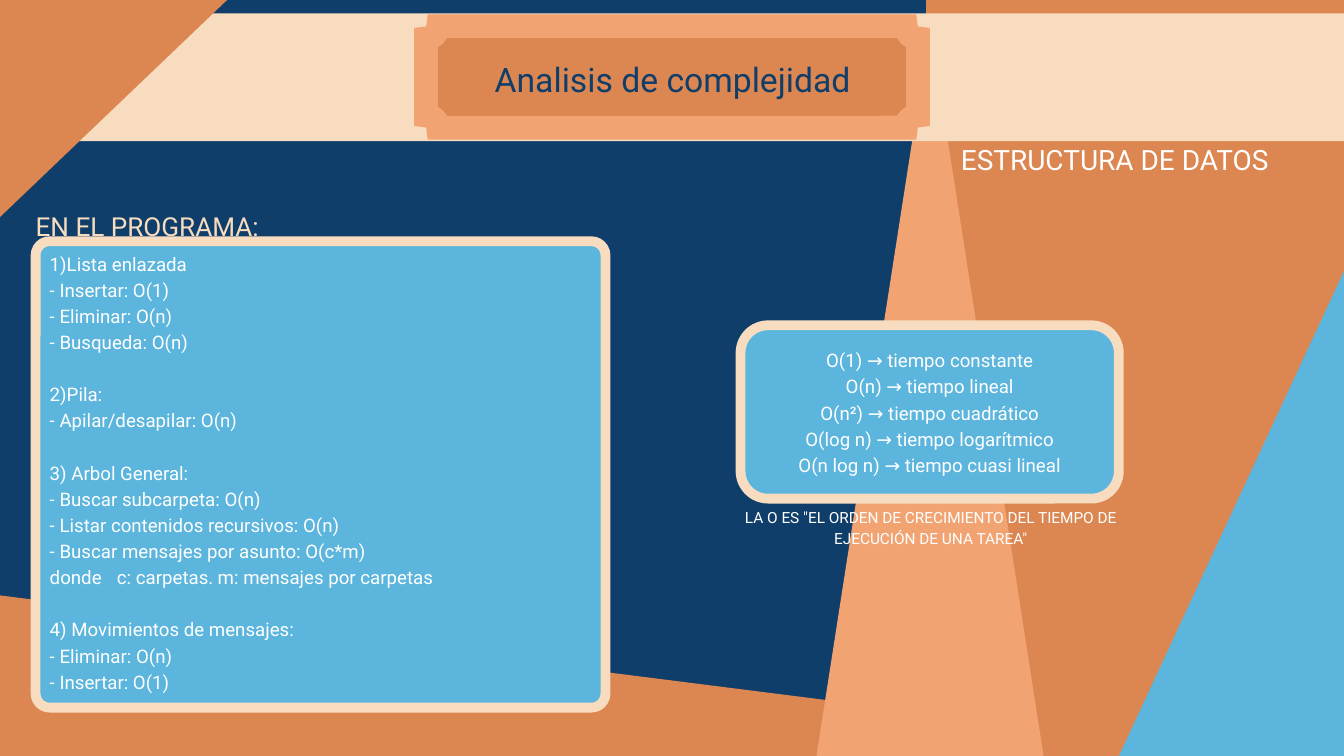
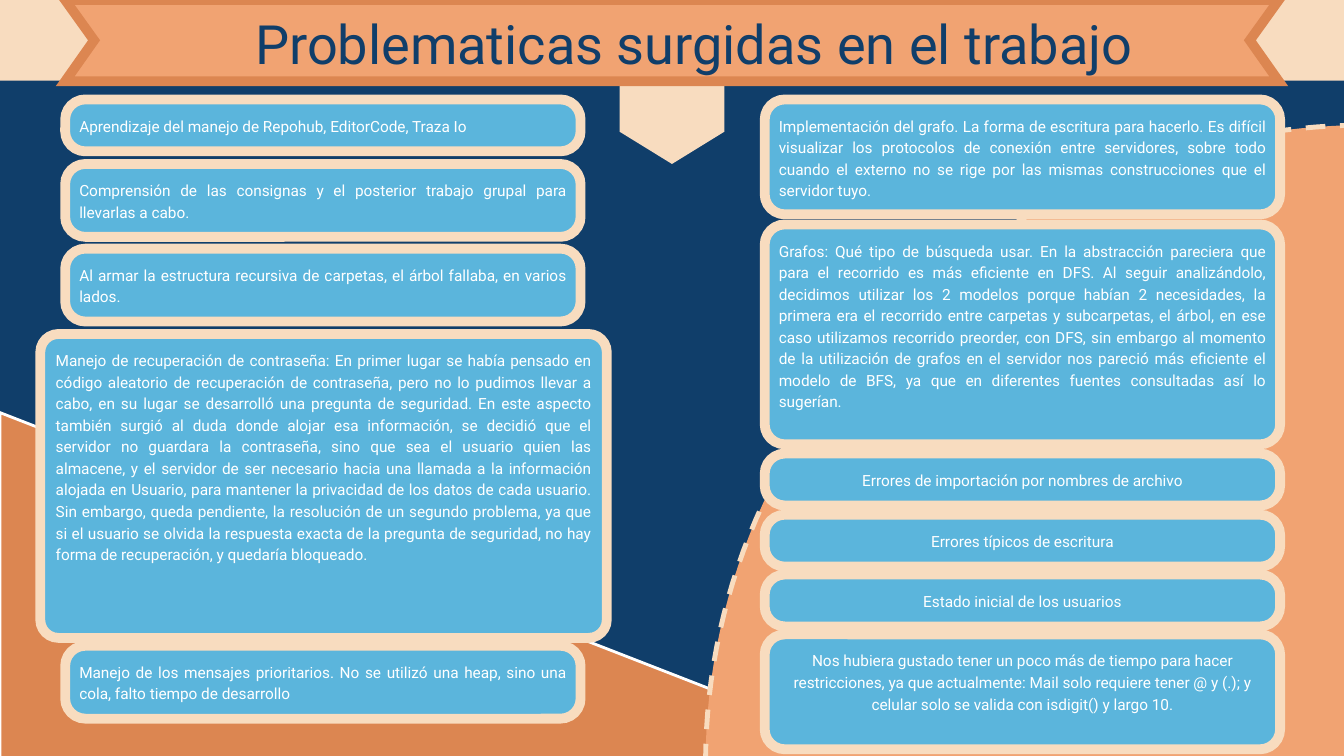
from math import cos, pi, sin, sqrt

from lxml import etree
from pptx import Presentation
from pptx.dml.color import RGBColor
from pptx.enum.dml import MSO_LINE
from pptx.enum.shapes import MSO_SHAPE
from pptx.enum.text import MSO_ANCHOR, MSO_AUTO_SIZE, PP_ALIGN
from pptx.oxml.ns import qn
from pptx.util import Inches, Pt

LEFT, CENTER, JUSTIFY = PP_ALIGN.LEFT, PP_ALIGN.CENTER, PP_ALIGN.JUSTIFY
RECTANGLE, ROUNDED, PLAQUE = MSO_SHAPE.RECTANGLE, MSO_SHAPE.ROUNDED_RECTANGLE, MSO_SHAPE.PLAQUE
DASH = MSO_LINE.DASH
TITLE_AND_BODY, TITLE_ONLY = 1, 5

COLORS = {
    "navy": "103E6A",
    "rust": "DC8651",
    "peach": "F1A372",
    "cream": "F8DCBF",
    "sky": "5BB5DC",
    "white": "FFFFFF",
}
FRAME = {
    "word_wrap": True,
    "auto_size": MSO_AUTO_SIZE.NONE,
    "vertical_anchor": MSO_ANCHOR.TOP,
}
FONT = {"name": "Roboto", "bold": False}
LEADING = 1.4
CARD_BORDER = 10.5

COMPLEXITIES = [
    "O(1) → tiempo constante",
    "O(n) → tiempo lineal",
    "O(n²) → tiempo cuadrático",
    "O(log n) → tiempo logarítmico",
    "O(n log n) → tiempo cuasi lineal",
]
PROGRAM = [
    ["1)Lista enlazada", "- Insertar: O(1)", "- Eliminar: O(n)", "- Busqueda: O(n)"],
    ["2)Pila:", "- Apilar/desapilar: O(n)"],
    [
        "3) Arbol General:",
        "- Buscar subcarpeta: O(n)",
        "- Listar contenidos recursivos: O(n)",
        "- Buscar mensajes por asunto: O(c*m)",
        "donde\tc: carpetas.\tm: mensajes por carpetas",
    ],
    ["4) Movimientos de mensajes:", "- Eliminar: O(n)", "- Insertar: O(1)"],
]
PASSWORD_RECOVERY = (
    "Manejo de recuperación de contraseña: En primer lugar se había pensado en código aleatorio "
    "de recuperación de contraseña, pero no lo pudimos llevar a cabo, en su lugar se desarrolló "
    "una pregunta de seguridad. En este aspecto también surgió al duda donde alojar esa "
    "información, se decidió que el servidor no guardara la contraseña, sino que sea el usuario "
    "quien las almacene, y el servidor de ser necesario hacia una llamada a la información alojada "
    "en Usuario, para mantener la privacidad de los datos de cada usuario. Sin embargo, queda "
    "pendiente, la resolución de un segundo problema, ya que si el usuario se olvida la respuesta "
    "exacta de la pregunta de seguridad, no hay forma de recuperación, y quedaría bloqueado."
)
GRAPH_SEARCH = (
    "Grafos: Qué tipo de búsqueda usar. En la abstracción pareciera que para el recorrido es más "
    "eficiente en DFS. Al seguir analizándolo, decidimos utilizar los 2 modelos porque habían 2 "
    "necesidades, la primera era el recorrido entre carpetas y subcarpetas, el árbol, en ese caso "
    "utilizamos recorrido preorder, con DFS, sin embargo al momento de la utilización de grafos en "
    "el servidor nos pareció más eficiente el modelo de BFS, ya que en diferentes fuentes "
    "consultadas así lo sugerían."
)
LEFT_PROBLEMS = [
    (1.48, 1, JUSTIFY, "Aprendizaje del manejo de Repohub, EditorCode, Traza Io"),
    (2.44, 2, JUSTIFY, "Comprensión de las consignas y el posterior trabajo grupal para "
                       "llevarlas a cabo."),
    (3.7, 2, JUSTIFY, "Al armar la estructura recursiva de carpetas, el árbol fallaba, en "
                      "varios lados."),
    (9.61, 2, JUSTIFY, "Manejo de los mensajes prioritarios. No se utilizó una heap, sino una "
                       "cola, falto tiempo de desarrollo"),
]
RIGHT_PROBLEMS = [
    (1.48, 4, JUSTIFY, "Implementación del grafo. La forma de escritura para hacerlo. Es difícil "
                       "visualizar los protocolos de conexión entre servidores, sobre todo cuando "
                       "el externo no se rige por las mismas construcciones que el servidor tuyo."),
    (3.34, 9, JUSTIFY, GRAPH_SEARCH),
    (6.75, 1, CENTER, "Errores de importación por nombres de archivo"),
    (7.66, 1, CENTER, "Errores típicos de escritura"),
    (8.55, 1, CENTER, "Estado inicial de los usuarios"),
    (9.44, 4, CENTER, "Nos hubiera gustado tener un poco más de tiempo para hacer restricciones, "
                      "ya que actualmente: Mail solo requiere tener @ y (.); y celular solo se "
                      "valida con isdigit() y largo 10."),
]


def rgb(color):
    """Return the named colour."""
    return RGBColor.from_string(COLORS[color])


def card_height(lines):
    """Return the height of a card made for that many lines."""
    return 0.46 + lines * 5 / 16


class Deck:
    """Holds the presentation, its style and the current slide."""

    def __init__(self):
        """Start an empty wide presentation."""
        self.presentation = Presentation()
        self.presentation.slide_width = Inches(20)
        self.presentation.slide_height = Inches(11.25)
        self.slide = None

    def new_slide(self, layout):
        """Add a slide on the navy background."""
        self.slide = self.presentation.slides.add_slide(self.presentation.slide_layouts[layout])
        background = self.slide.background.fill
        background.solid()
        background.fore_color.rgb = rgb("navy")

    def paint(self, shape, fill, border=None, width=0, dash=None):
        """Give a shape its fill and its mitred border."""
        shape.shadow.inherit = False
        shape.fill.solid()
        shape.fill.fore_color.rgb = rgb(fill)
        if border is None:
            shape.line.fill.background()
            return
        shape.line.color.rgb = rgb(border)
        shape.line.width = Pt(width)
        if dash is not None:
            shape.line.dash_style = dash
        etree.SubElement(shape.element.spPr.find(qn("a:ln")), qn("a:miter"), lim="800000")

    def polygon(self, points, *look):
        """Draw a closed outline through the points."""
        corners = [(Inches(x), Inches(y)) for x, y in points]
        builder = self.slide.shapes.build_freeform(*corners[0])
        builder.add_line_segments(corners[1:], close=True)
        self.paint(builder.convert_to_shape(), *look)

    def preset(self, kind, box, *look):
        """Draw a preset shape."""
        shape = self.slide.shapes.add_shape(kind, *map(Inches, box))
        self.paint(shape, *look)
        return shape

    def set_text(self, frame, groups, size, color="white", align=LEFT, margins=(0, 0), tabs=()):
        """Fill a frame with groups of lines, one empty line apart."""
        across, down = map(Inches, margins)
        sides = {"margin_left": across, "margin_right": across,
                 "margin_top": down, "margin_bottom": down}
        for name, value in {**FRAME, **sides}.items():
            setattr(frame, name, value)
        leading = Pt(size * LEADING)
        rows = [(line, index > 0 and place == 0)
                for index, group in enumerate(groups) for place, line in enumerate(group)]
        for number, (line, opens_group) in enumerate(rows):
            paragraph = frame.add_paragraph() if number else frame.paragraphs[0]
            properties = paragraph._p.get_or_add_pPr()
            properties.set("marL", "0")
            properties.set("indent", "0")
            etree.SubElement(properties, qn("a:buNone"))
            if tabs and "\t" in line:
                stops = etree.SubElement(properties, qn("a:tabLst"))
                for stop in tabs:
                    etree.SubElement(stops, qn("a:tab"), pos=str(Inches(stop)), algn="l")
            spacing = {"alignment": align, "line_spacing": leading,
                       "space_before": leading if opens_group else Pt(0), "space_after": Pt(0)}
            for name, value in spacing.items():
                setattr(paragraph, name, value)
            run = paragraph.add_run()
            run.text = line
            for name, value in {**FONT, "size": Pt(size)}.items():
                setattr(run.font, name, value)
            run.font.color.rgb = rgb(color)

    def card(self, box, groups, size, align, radius=0.3, pad=(0.21, 0.21)):
        """Draw a blue rounded card with its text."""
        shorter = min(box[2:])
        card = self.preset(ROUNDED, box, "sky", "cream", CARD_BORDER)
        card.adjustments[0] = radius / shorter
        corner = radius * (1 - 1 / sqrt(2))
        margins = [max(side - corner, 0) for side in pad]
        self.set_text(card.text_frame, groups, size, align=align, margins=margins)

    def label(self, box, text, size, color="white", align=LEFT):
        """Add a free line of text."""
        label = self.slide.shapes.add_textbox(*map(Inches, box))
        self.set_text(label.text_frame, [[text]], size, color, align)

    def placeholder(self, holder, box, groups, size, **style):
        """Move a placeholder to the front, place it and fill it."""
        self.slide.shapes.element.append(holder.element)
        for name, value in zip(("left", "top", "width", "height"), box):
            setattr(holder, name, Inches(value))
        self.set_text(holder.text_frame, groups, size, **style)

    def title(self, box, text, size):
        """Fill the title."""
        self.placeholder(self.slide.shapes.title, box, [[text]], size, color="navy", align=CENTER)


def complexity_slide(deck):
    """Build the complexity analysis slide."""
    deck.new_slide(TITLE_AND_BODY)
    deck.polygon([(0, 8.86), (18.87, 11.25), (0, 11.25)], "rust")
    deck.preset(RECTANGLE, (13.78, 0, 6.22, 11.25), "rust")
    deck.polygon([(13.84, 0.39), (15.53, 11.25), (12.15, 11.25)], "peach")
    deck.preset(RECTANGLE, (0, 0.2, 20, 1.9), "cream")
    plaque = deck.preset(PLAQUE, (6.34, 0.39, 7.32, 1.51), "rust", "peach", 25.5)
    plaque.adjustments[0] = 0.12
    deck.card((11.02, 4.84, 5.63, 2.58), [COMPLEXITIES], 20, CENTER, radius=0.41, pad=(0.12, 0.3))
    program_panel = deck.preset(ROUNDED, (0.53, 3.59, 8.48, 6.94), "sky", "cream", CARD_BORDER)
    program_panel.adjustments[0] = 0.03
    deck.polygon([(0, 0), (3.38, 0), (0, 3.23)], "rust")
    deck.polygon([(20.03, 3.97), (20.03, 11.25), (16.65, 11.25)], "sky")
    deck.label((10.54, 7.51, 6.62, 0.63),
               'LA O ES "EL ORDEN DE CRECIMIENTO DEL TIEMPO DE EJECUCIÓN DE UNA TAREA"',
               16.5, align=CENTER)
    deck.title((6.55, 0.77, 6.92, 0.68), "Analisis de complejidad", 36.1)
    deck.placeholder(deck.slide.placeholders[1], (0.74, 3.7, 8.24, 6.55), PROGRAM, 20,
                     tabs=(1.25, 3.17))
    deck.label((14.3, 2.04, 5.7, 0.55), "ESTRUCTURA DE DATOS", 30)
    deck.label((0.53, 3.06, 4.19, 0.54), "EN EL PROGRAMA:", 28, "cream")


def problems_slide(deck):
    """Build the slide of problems met in the work."""
    deck.new_slide(TITLE_ONLY)
    deck.preset(RECTANGLE, (0, 0, 20, 1.2), "cream")
    deck.polygon([(13.26, 11.3), (0, 11.3), (0, 6.14)], "rust", "white", 3)
    deck.polygon([(9.22, 0.14), (10.78, 0.14), (10.78, 1.96), (10, 2.44), (9.22, 1.96)], "cream")
    deck.polygon([(0.97, 0), (19.03, 0), (18.6, 0.6), (19.03, 1.21), (0.97, 1.21), (1.4, 0.6)],
                 "peach", "rust", CARD_BORDER)
    center_x, center_y, steps = 20.37, 11.36, 60
    angles = [step * pi / 2 / steps for step in range(steps + 1)]
    arc = [(center_x - 9.87 * cos(angle), center_y - 9.5 * sin(angle)) for angle in angles]
    deck.polygon(arc + [(center_x, center_y)], "peach", "cream", 5.25, DASH)
    for left, problems in ((0.97, LEFT_PROBLEMS), (11.38, RIGHT_PROBLEMS)):
        for top, lines, align, text in problems:
            deck.card((left, top, 7.67, card_height(lines)), [[text]], 16.5, align)
    deck.card((0.6, 4.97, 8.43, card_height(13)), [[PASSWORD_RECOVERY]], 16.5, JUSTIFY,
              radius=0.27, pad=(0.23, 0.21))
    deck.title((2.14, 0, 16.37, 1.1), "Problematicas surgidas en el trabajo", 58)


def main():
    """Build and save both slides."""
    deck = Deck()
    complexity_slide(deck)
    problems_slide(deck)
    deck.presentation.save("out.pptx")


if __name__ == "__main__":
    main()
